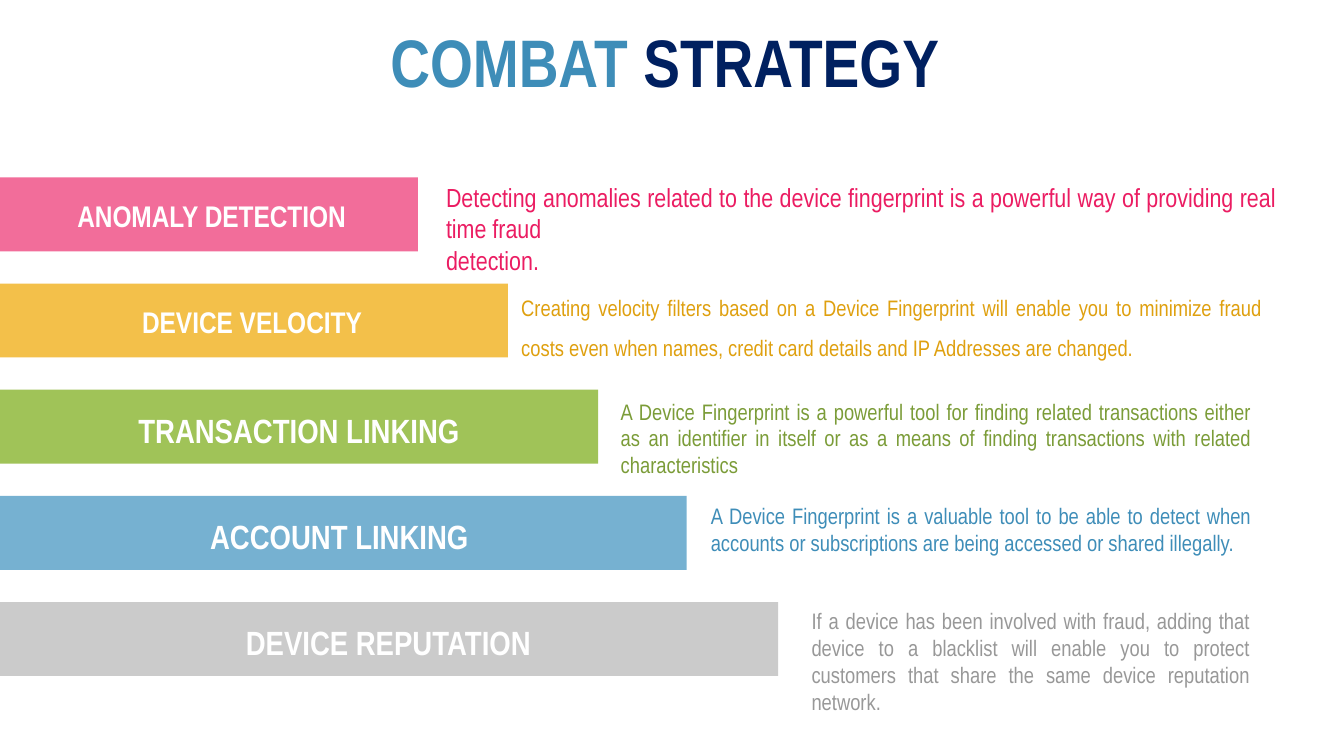
"""Build the combat strategy slide with five stepped bars and their notes."""
from dataclasses import dataclass

from pptx import Presentation
from pptx.dml.color import RGBColor
from pptx.enum import shapes, text
from pptx.util import Inches, Pt

FONT = "Arial Narrow"
WIDE = 10
TOP, STEP, HIGH = 1.32, 0.79, 0.55


@dataclass
class Row:
    label: str
    size: int
    fill: str
    width: float
    label_box: tuple[float, float, float]
    note: tuple[str, ...]
    ink: str
    note_box: tuple[float, float, float, float]
    note_size: int = 12
    spacing: float = 1.0
    after: int = 0


ROWS = [
    Row("ANOMALY DETECTION", 16, "F26D9A", 3.11, (0.12, 2.91, 0.37),
        ("Detecting anomalies related to the device fingerprint is a powerful "
         "way of providing real time fraud ", "detection. "),
        "EB1C62", (3.22, 1.3, 6.38, 0.57), note_size=14),
    Row("DEVICE VELOCITY", 16, "F3C04A", 3.78, (0.12, 3.51, 0.37),
        ("Creating velocity filters based on a Device Fingerprint will enable "
         "you to minimize fraud costs even when names, credit card details "
         "and IP Addresses are changed.",),
        "DFA00F", (3.78, 2.04, 5.71, 0.67), spacing=1.5, after=8),
    Row("TRANSACTION LINKING", 18, "A0C358", 4.45, (0.23, 3.99, 0.4),
        ("A Device Fingerprint is a powerful tool for finding related "
         "transactions either as an identifier in itself or as a means of "
         "finding transactions with related characteristics ",),
        "7B9C38", (4.52, 2.91, 4.89, 0.5)),
    Row("ACCOUNT LINKING", 18, "76B1D1", 5.11, (0.23, 4.59, 0.4),
        ("A Device Fingerprint is a valuable tool to be able to detect when "
         "accounts or subscriptions are being accessed or shared illegally.",),
        "3E8DB8", (5.19, 3.69, 4.22, 0.5)),
    Row("DEVICE REPUTATION", 18, "CBCBCB", 5.79, (0.23, 5.32, 0.4),
        ("If a device has been involved with fraud, adding that device to a "
         "blacklist will enable you to protect customers that share the same "
         "device reputation network.",),
        "989898", (5.94, 4.47, 3.46, 0.71)),
]


def paint(target, color: str) -> None:
    """Set a solid colour on a fill or a font."""
    if hasattr(target, "solid"):
        target.solid()
        target.fore_color.rgb = RGBColor.from_string(color)
    else:
        target.color.rgb = RGBColor.from_string(color)


def style(font, size: int, bold: bool) -> None:
    """Set the face, size and weight of a font."""
    font.name, font.size, font.bold = FONT, Pt(size), bold


def add_title(slide) -> None:
    """Place the two-colour title."""
    title = slide.shapes.title
    title.left, title.top = Inches(0), Inches(0.03)
    title.width, title.height = Inches(WIDE), Inches(0.85)
    title.text_frame.vertical_anchor = text.MSO_ANCHOR.MIDDLE
    para = title.text_frame.paragraphs[0]
    para.alignment = text.PP_ALIGN.CENTER
    style(para.font, 36, True)
    for words, color in (("COMBAT", "3E8DB8"), (" STRATEGY ", "002060")):
        run = para.add_run()
        run.text = words
        paint(run.font, color)


def add_bar(slide, row: Row, top: float) -> None:
    """Draw the coloured bar of a row."""
    bar = slide.shapes.add_shape(
        shapes.MSO_SHAPE.RECTANGLE,
        *map(Inches, (0, top, row.width, HIGH)))
    bar.shadow.inherit = False
    paint(bar.fill, row.fill)
    bar.line.fill.background()


def add_text(slide, box: tuple[float, ...], lines: tuple[str, ...], size: int,
             color: str, align: text.PP_ALIGN, bold: bool = False,
             spacing: float = 1.0, after: int = 0) -> None:
    """Add a wrapped text box with one paragraph per line."""
    frame = slide.shapes.add_textbox(*map(Inches, box)).text_frame
    frame.word_wrap = True
    frame.auto_size = text.MSO_AUTO_SIZE.SHAPE_TO_FIT_TEXT
    frame.text = "\n".join(lines)
    for para in frame.paragraphs:
        para.alignment = align
        para.line_spacing, para.space_after = spacing, Pt(after)
        style(para.font, size, bold)
        paint(para.font, color)


def main() -> None:
    """Build and save the slide."""
    deck = Presentation()
    deck.slide_width, deck.slide_height = Inches(WIDE), Inches(WIDE * 9 / 16)
    slide = deck.slides.add_slide(deck.slide_layouts.get_by_name("Title Only"))
    add_title(slide)
    for index, row in enumerate(ROWS):
        top = TOP + index * STEP
        left, width, height = row.label_box
        add_bar(slide, row, top)
        add_text(slide, (left, top + 0.1, width, height), (row.label,),
                 row.size, "FFFFFF", text.PP_ALIGN.CENTER, bold=True)
        add_text(slide, row.note_box, row.note, row.note_size, row.ink,
                 text.PP_ALIGN.JUSTIFY, spacing=row.spacing, after=row.after)
    deck.save("out.pptx")


if __name__ == "__main__":
    main()
